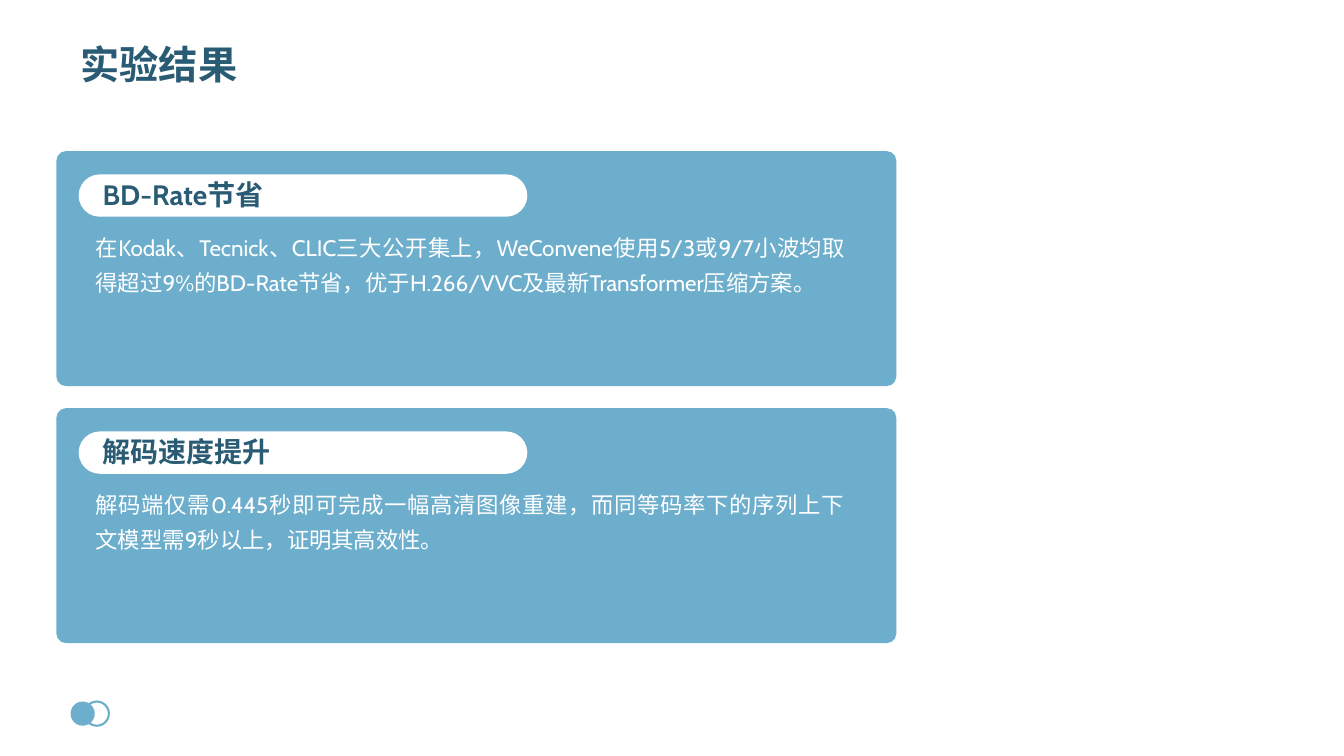
import pptx
import pptx.dml.color
import pptx.enum.lang
import pptx.enum.shapes
import pptx.enum.text
import pptx.util

Inches = pptx.util.Inches
BLUE = pptx.dml.color.RGBColor(0x6D, 0xAE, 0xCC)
NAVY = pptx.dml.color.RGBColor(0x29, 0x5C, 0x74)
WHITE = pptx.dml.color.RGBColor(0xFF, 0xFF, 0xFF)

CARDS = [
    ("BD-Rate节省",
     "在Kodak、Tecnick、CLIC三大公开集上，WeConvene使用5/3或9/7小波均取得超过9%的BD-Rate节省，"
     "优于H.266/VVC及最新Transformer压缩方案。", 1.04),
    ("解码速度提升",
     "解码端仅需0.445秒即可完成一幅高清图像重建，而同等码率下的序列上下文模型需9秒以上，证明其高效性。", 0.69),
]
CARD_TOP = 1.5
CARD_STEP = 2.55

prs = pptx.Presentation()
prs.slide_width = Inches(13.33)
prs.slide_height = Inches(7.5)
s = prs.slides.add_slide(prs.slide_layouts[5])


def add_round_rect(x, y, w, h, radius=0.5, fill=None, line=None):
    sp = s.shapes.add_shape(pptx.enum.shapes.MSO_SHAPE.ROUNDED_RECTANGLE,
                            Inches(x), Inches(y), Inches(w), Inches(h))
    sp.adjustments[0] = radius
    sp.shadow.inherit = False
    if fill is None:
        sp.fill.background()
    else:
        sp.fill.solid()
        sp.fill.fore_color.rgb = fill
    if line is None:
        sp.line.fill.background()
    else:
        sp.line.color.rgb = line
        sp.line.width = pptx.util.Pt(1.5)


def add_text(text, x, y, w, h, size, color=NAVY, bold=True, spacing=1.0, box=None):
    """Fill box, or a new text box, with one justified paragraph."""
    if box is None:
        box = s.shapes.add_textbox(0, 0, 0, 0)
    box.left, box.top, box.width, box.height = Inches(x), Inches(y), Inches(w), Inches(h)
    tf = box.text_frame
    tf.word_wrap = True
    tf.auto_size = pptx.enum.text.MSO_AUTO_SIZE.SHAPE_TO_FIT_TEXT
    tf.vertical_anchor = pptx.enum.text.MSO_ANCHOR.TOP
    p = tf.paragraphs[0]
    p.alignment = pptx.enum.text.PP_ALIGN.JUSTIFY
    p.line_spacing = spacing
    r = p.add_run()
    r.text = text
    r.font.name = "Cabin"
    r.font.size = pptx.util.Pt(size)
    r.font.bold = bold
    r.font.color.rgb = color
    r.font.language_id = pptx.enum.lang.MSO_LANGUAGE_ID.SIMPLIFIED_CHINESE


add_text("实验结果", 0.7, 0.35, 11.79, 0.57, size=28, box=s.shapes.title)

for i, (heading, body, body_height) in enumerate(CARDS):
    top = CARD_TOP + i * CARD_STEP
    add_round_rect(0.56, top, 8.33, 2.33, radius=0.04, fill=BLUE)
    add_round_rect(0.78, top + 0.23, 4.45, 0.42, fill=WHITE)
    add_text(heading, 0.92, top + 0.21, 4.3, 0.34, size=20)
    add_text(body, 0.85, top + 0.69, 7.63, body_height, size=16,
             color=WHITE, bold=False, spacing=1.3)

# Overlapping dots at the foot
add_round_rect(0.7, 6.96, 0.24, 0.24, fill=BLUE)
add_round_rect(0.84, 6.96, 0.24, 0.24, line=BLUE)

prs.save("out.pptx")
